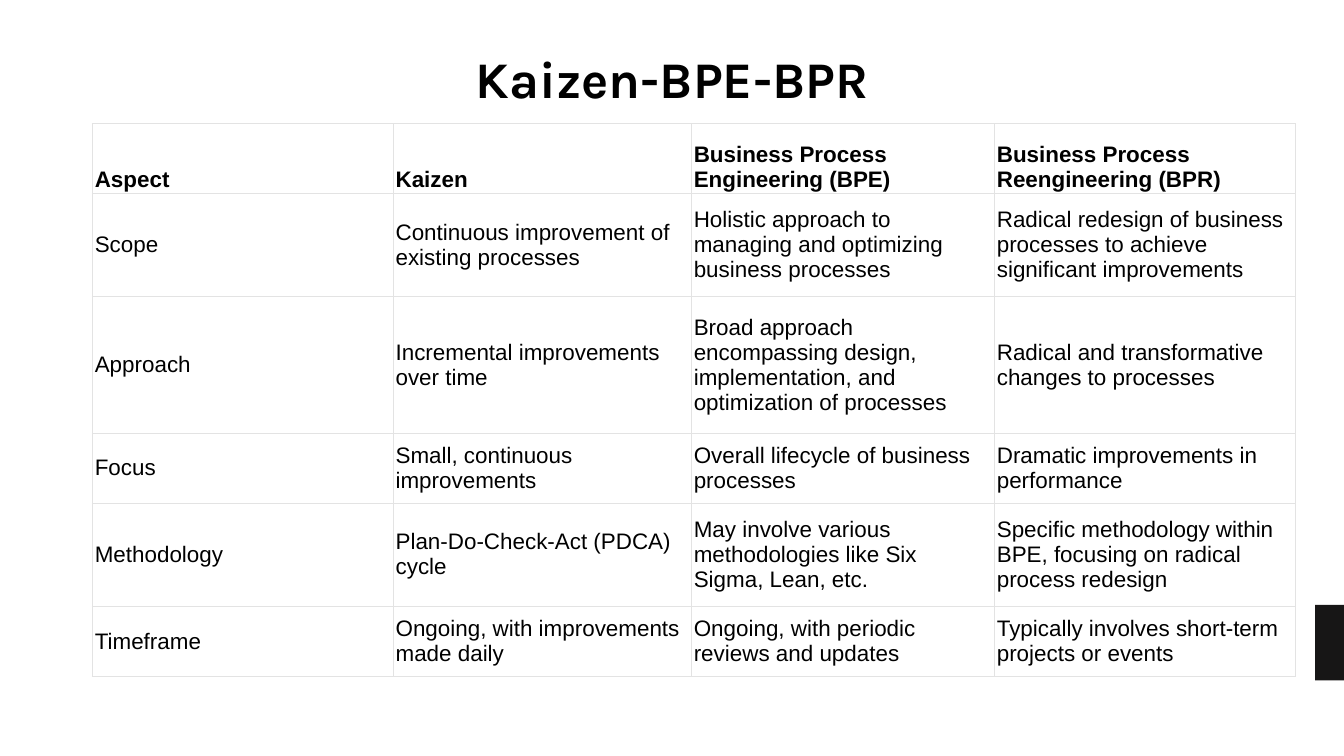
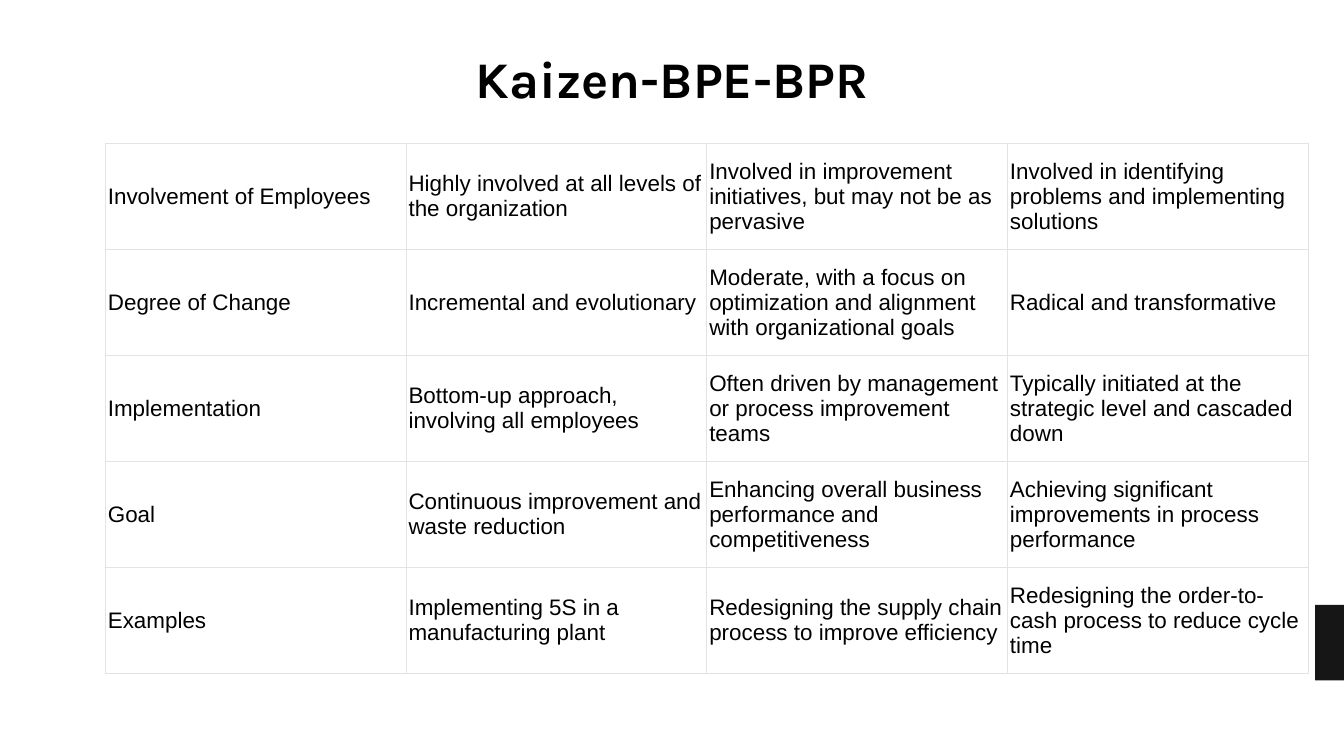
"""Build two slides comparing Kaizen, BPE and BPR aspect by aspect."""
from dataclasses import dataclass

import lxml.etree
import pptx
import pptx.dml.color
import pptx.enum.shapes
import pptx.enum.text
import pptx.oxml.ns
import pptx.util

Pt = pptx.util.Pt
RGB = pptx.dml.color.RGBColor.from_string
ANCHOR = pptx.enum.text.MSO_ANCHOR


@dataclass(frozen=True)
class Theme:
    ink: str = "000000"
    paper: str = "FFFFFF"
    grid: str = "E3E3E3"
    tab: str = "171616"
    title_font: str = "Karla"
    body_font: str = "Arial"
    title_size: float = 55
    body_size: float = 24
    title_leading: float = 69
    body_leading: float = 26.8
    thin: float = 0.75
    thick: float = 1


class Deck:
    def __init__(self, theme):
        self.theme = theme
        self.prs = pptx.Presentation()
        self.prs.slide_width, self.prs.slide_height = Pt(1440), Pt(810)
        self.slide = None

    def new_slide(self):
        self.slide = self.prs.slides.add_slide(self.prs.slide_layouts[6])
        fill = self.slide.background.fill
        fill.solid()
        fill.fore_color.rgb = RGB(self.theme.paper)
        self.edge_tab()

    def edge_tab(self):
        sp = self.slide.shapes.add_shape(
            pptx.enum.shapes.MSO_SHAPE.RECTANGLE, Pt(1409), Pt(648), Pt(31), Pt(81))
        sp.shadow.inherit = False
        sp.fill.solid()
        sp.fill.fore_color.rgb = RGB(self.theme.tab)
        sp.line.fill.background()

    def set_text(self, tf, text, font, size, leading, bold):
        tf.text = text
        p = tf.paragraphs[0]
        p.line_spacing = Pt(leading)
        r = p.runs[0]
        r.font.name, r.font.size, r.font.bold = font, Pt(size), bold
        r.font.color.rgb = RGB(self.theme.ink)
        return p

    def title(self, text):
        t = self.theme
        sp = self.slide.shapes.add_textbox(Pt(416), Pt(48), Pt(608), Pt(68))
        tf = sp.text_frame
        tf.word_wrap = True
        tf.margin_left = tf.margin_top = tf.margin_right = tf.margin_bottom = 0
        p = self.set_text(tf, text, t.title_font, t.title_size, t.title_leading, True)
        p.alignment = pptx.enum.text.PP_ALIGN.CENTER

    def border(self, cell, side, width):
        qn = pptx.oxml.ns.qn
        tc_pr = cell._tc.get_or_add_tcPr()
        ln = lxml.etree.SubElement(tc_pr, qn(f"a:ln{side}"), w=str(Pt(width)))
        fill = lxml.etree.SubElement(ln, qn("a:solidFill"))
        lxml.etree.SubElement(fill, qn("a:srgbClr"), val=self.theme.grid)

    def cell(self, cell, text, header, top, bottom):
        t = self.theme
        for side, width in zip("LRTB", (t.thin, t.thin, top, bottom)):
            self.border(cell, side, width)
        cell.fill.solid()
        cell.fill.fore_color.rgb = RGB(t.paper)
        cell.margin_left = cell.margin_right = Pt(2.8)
        cell.margin_top = cell.margin_bottom = Pt(1.5)
        cell.vertical_anchor = ANCHOR.BOTTOM if header else ANCHOR.MIDDLE
        self.set_text(cell.text_frame, text, t.body_font, t.body_size, t.body_leading, header)

    def table(self, left, top, widths, heights, rows, has_header=False):
        t = self.theme
        table = self.slide.shapes.add_table(
            len(rows), len(widths), Pt(left), Pt(top),
            Pt(sum(widths)), Pt(sum(heights))).table
        table.first_row = has_header
        table.horz_banding = False
        for column, width in zip(table.columns, widths):
            column.width = Pt(width)
        for i, (row, height, texts) in enumerate(zip(table.rows, heights, rows)):
            row.height = Pt(height)
            header = has_header and i == 0
            closing = not has_header and i == len(rows) - 1
            for cell, text in zip(row.cells, texts):
                self.cell(cell, text, header,
                          t.thin if header else t.thick,
                          t.thin if closing else t.thick)


TITLE = "Kaizen-BPE-BPR"

METHOD_ROWS = [
    ("Aspect", "Kaizen", "Business Process Engineering (BPE)",
     "Business Process Reengineering (BPR)"),
    ("Scope", "Continuous improvement of existing processes",
     "Holistic approach to managing and optimizing business processes",
     "Radical redesign of business processes to achieve significant improvements"),
    ("Approach", "Incremental improvements over time",
     "Broad approach encompassing design, implementation, and optimization of processes",
     "Radical and transformative changes to processes"),
    ("Focus", "Small, continuous improvements",
     "Overall lifecycle of business processes",
     "Dramatic improvements in performance"),
    ("Methodology", "Plan-Do-Check-Act (PDCA) cycle",
     "May involve various methodologies like Six Sigma, Lean, etc.",
     "Specific methodology within BPE, focusing on radical process redesign"),
    ("Timeframe", "Ongoing, with improvements made daily",
     "Ongoing, with periodic reviews and updates",
     "Typically involves short-term projects or events"),
]

PRACTICE_ROWS = [
    ("Involvement of Employees", "Highly involved at all levels of the organization",
     "Involved in improvement initiatives, but may not be as pervasive",
     "Involved in identifying problems and implementing solutions"),
    ("Degree of Change", "Incremental and evolutionary",
     "Moderate, with a focus on optimization and alignment with organizational goals",
     "Radical and transformative"),
    ("Implementation", "Bottom-up approach, involving all employees",
     "Often driven by management or process improvement teams",
     "Typically initiated at the strategic level and cascaded down"),
    ("Goal", "Continuous improvement and waste reduction",
     "Enhancing overall business performance and competitiveness",
     "Achieving significant improvements in process performance"),
    ("Examples", "Implementing 5S in a manufacturing plant",
     "Redesigning the supply chain process to improve efficiency",
     "Redesigning the order-to-cash process to reduce cycle time"),
]


def main():
    deck = Deck(Theme())

    deck.new_slide()
    deck.title(TITLE)
    two_lines, three_lines, four_lines = 74.8, 110.7, 146.3
    deck.table(98.8, 132.4, (322.3, 319.5, 324.7, 322.3),
               (two_lines, three_lines, four_lines, two_lines, three_lines, two_lines),
               METHOD_ROWS, has_header=True)

    deck.new_slide()
    deck.table(112.8, 153.5, [322.2] * 4, [113.6] * len(PRACTICE_ROWS), PRACTICE_ROWS)
    deck.title(TITLE)

    deck.prs.save("out.pptx")


if __name__ == "__main__":
    main()
